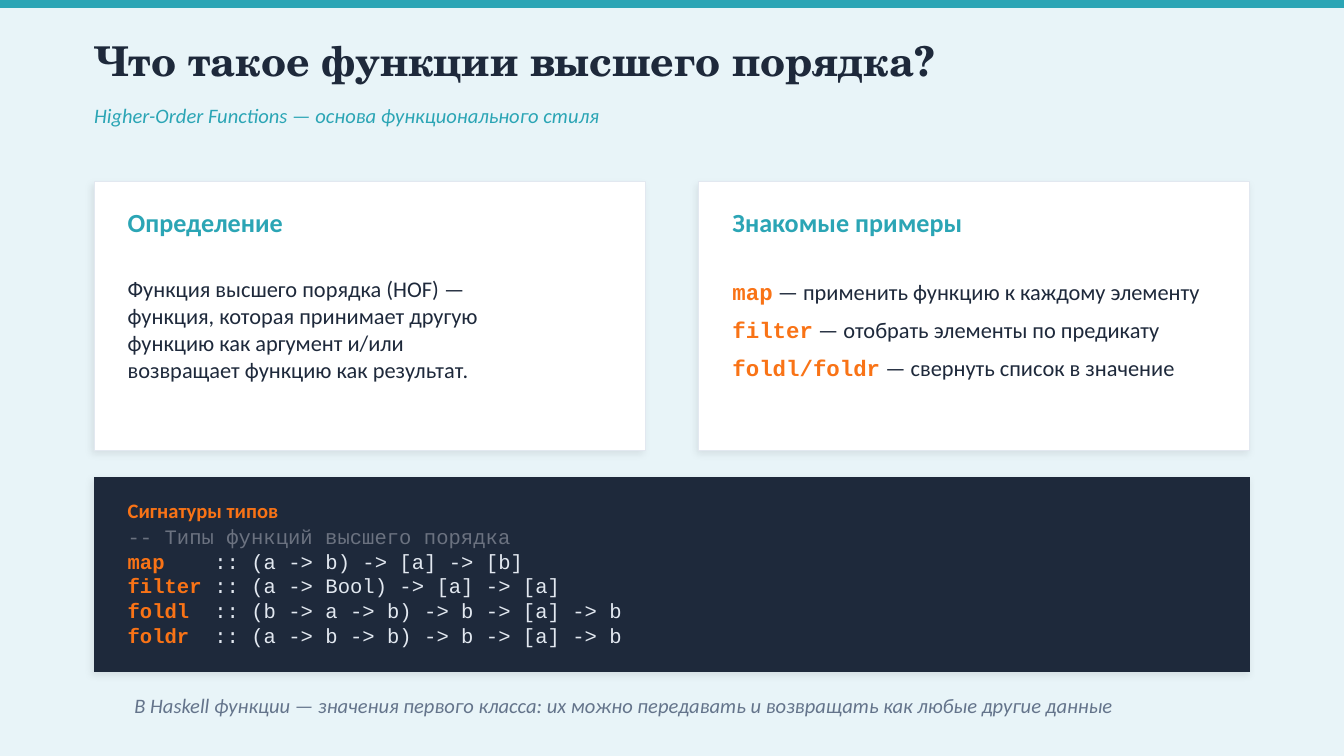
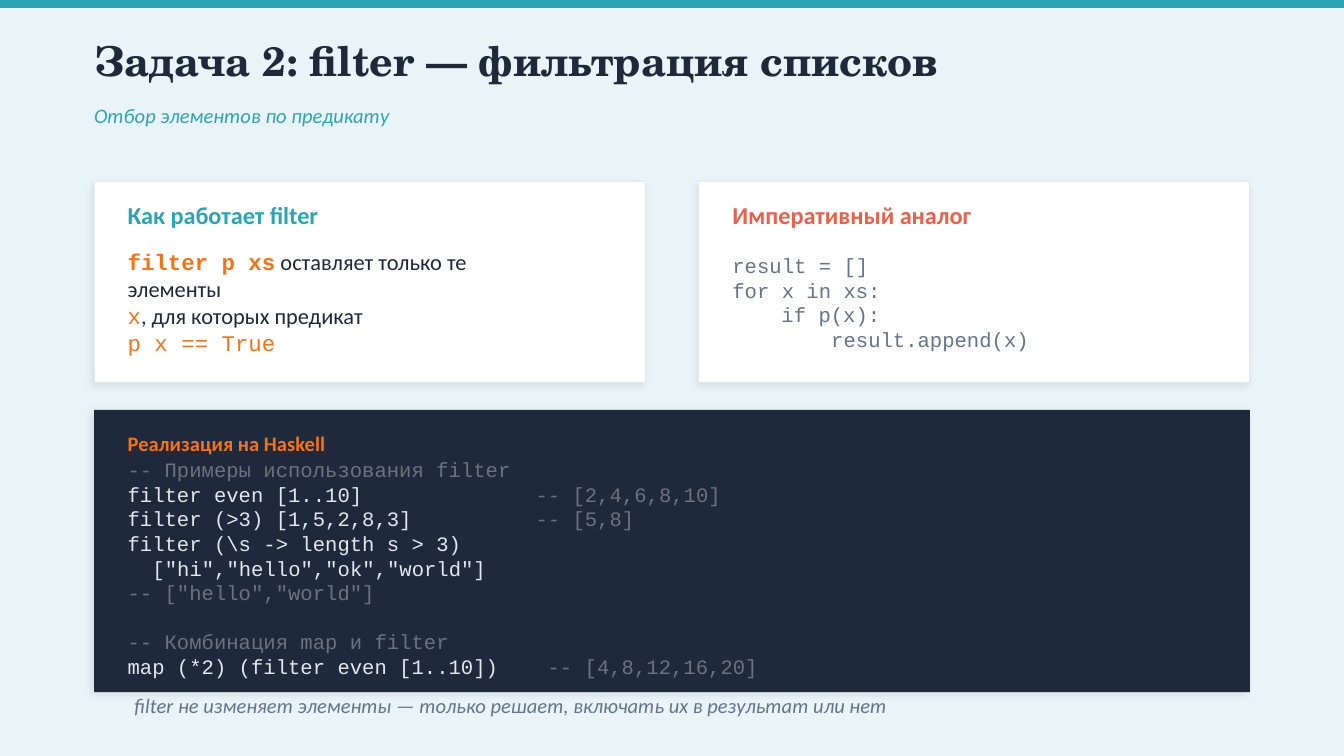
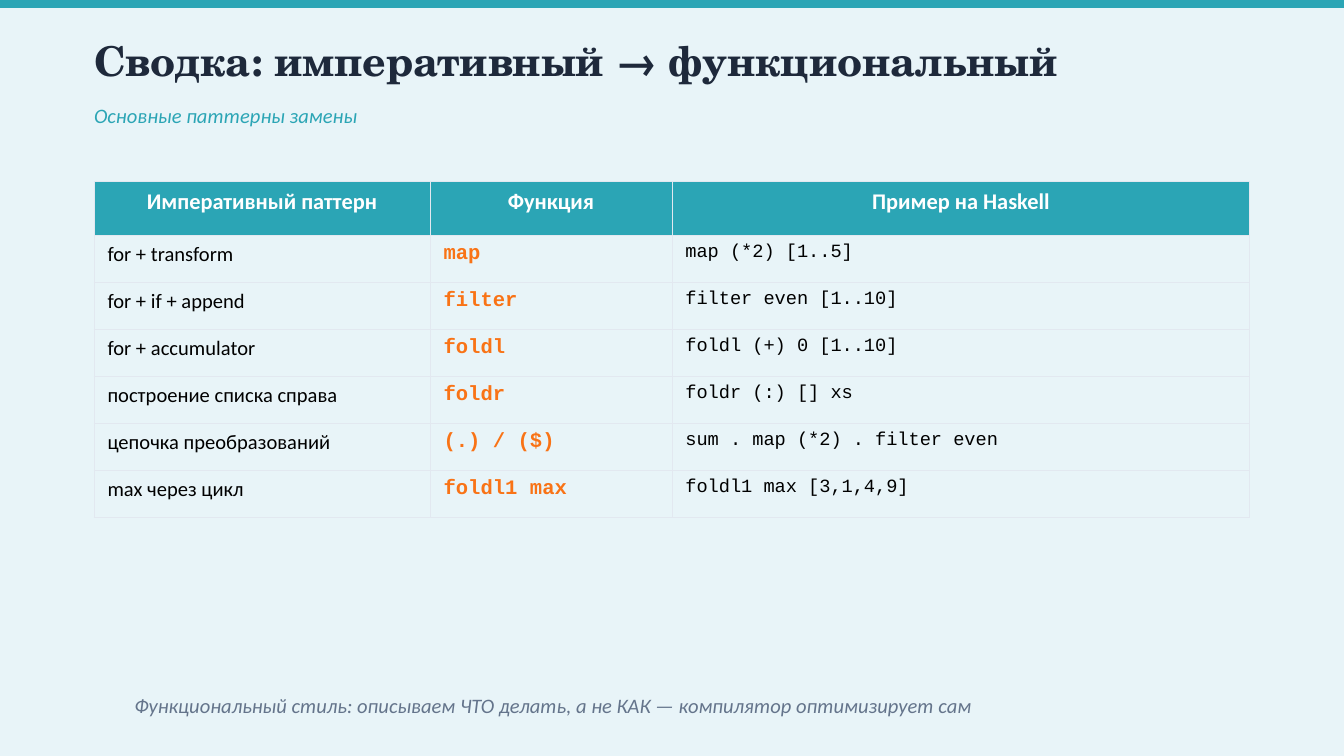
from dataclasses import dataclass, replace

from lxml.etree import SubElement
from pptx import Presentation
from pptx.dml.color import RGBColor
from pptx.enum.shapes import MSO_SHAPE
from pptx.enum.text import MSO_ANCHOR, MSO_AUTO_SIZE, PP_ALIGN
from pptx.oxml.ns import qn
from pptx.util import Emu, Pt

EMU_PER_PX = 4572
SLIDE_WIDTH, SLIDE_HEIGHT = 2000, 1125
MARGIN, CONTENT_WIDTH, CONTENT_TOP = 140, 1720, 270
CARD_WIDTH, CARD_GAP, PADDING = 820, 80, 50
HEADING_HEIGHT, HEADING_STEP = 60, 70

TEAL, NAVY, ORANGE, CORAL = "2BA5B5", "1E293B", "F97316", "E8624A"
SLATE, GRAY, PALE = "64748B", "6B7280", "E2E8F0"
WHITE, BLACK, BACKGROUND = "FFFFFF", "000000", "E8F4F8"
SANS, MONO, SERIF = "Calibri", "Courier New", "TeX Gyre Schola"


@dataclass(frozen=True)
class Style:
    size: int
    color: str
    font: str = SANS
    bold: bool = False
    italic: bool = False


@dataclass(frozen=True)
class Line:
    runs: list
    indent: int = 0
    tab: int = 0
    before: float = 0
    after: float = 0


TITLE = Style(22, NAVY, SERIF, bold=True)
SUBTITLE = Style(11, TEAL, italic=True)
NOTE = Style(11, SLATE, italic=True)
BODY = Style(12, NAVY)
TERM = Style(12, ORANGE, MONO)
STRONG_TERM = replace(TERM, bold=True)
HEADING = Style(14, TEAL, bold=True)
CODE_HEADING = Style(11, ORANGE, bold=True)
CODE = Style(11, PALE, MONO)
COMMENT = Style(11, GRAY, MONO)
KEYWORD = Style(11, ORANGE, MONO, bold=True)
IMPERATIVE_CODE = Style(11, SLATE, MONO)
TABLE_HEADER = Style(12, WHITE, bold=True)
TABLE_COLUMNS = [Style(11, BLACK), KEYWORD, Style(10, BLACK, MONO)]


def px(length):
    return Emu(length * EMU_PER_PX)


def rgb(color):
    return RGBColor.from_string(color)


def plain(style, *texts):
    return [Line([(text, style)]) for text in texts]


class Deck:
    def __init__(self):
        self.presentation = Presentation()
        self.presentation.slide_width = px(SLIDE_WIDTH)
        self.presentation.slide_height = px(SLIDE_HEIGHT)
        self.slide = None

    def start_slide(self, title, subtitle, note):
        layout = self.presentation.slide_layouts[5]
        self.slide = self.presentation.slides.add_slide(layout)
        fill = self.slide.background.fill
        fill.solid()
        fill.fore_color.rgb = rgb(BACKGROUND)
        self.rectangle(0, 0, SLIDE_WIDTH, 12, TEAL)
        placeholder = self.slide.shapes.title
        placeholder.left, placeholder.top = px(MARGIN), px(40)
        placeholder.width, placeholder.height = px(CONTENT_WIDTH), px(100)
        self.fill_frame(placeholder.text_frame, plain(TITLE, title))
        self.text(MARGIN, 144, CONTENT_WIDTH, 56, plain(SUBTITLE, subtitle))
        self.text(200, 1020, 1660, 60, plain(NOTE, note))

    def rectangle(self, left, top, width, height, color, border=None, shadow=False):
        shape = self.slide.shapes.add_shape(
            MSO_SHAPE.RECTANGLE, px(left), px(top), px(width), px(height))
        shape.fill.solid()
        shape.fill.fore_color.rgb = rgb(color)
        if border:
            shape.line.color.rgb = rgb(border)
            shape.line.width = Pt(0.5)
        else:
            shape.line.fill.background()
        shape.shadow.inherit = False
        if shadow:
            effects = shape._element.spPr.find(qn("a:effectLst"))
            outer = SubElement(effects, qn("a:outerShdw"), blurRad=str(Pt(4)),
                               dist=str(Pt(2)), dir=str(135 * 60000),
                               algn="bl", rotWithShape="0")
            shade = SubElement(outer, qn("a:srgbClr"), val=BLACK)
            SubElement(shade, qn("a:alpha"), val="8000")

    def text(self, left, top, width, height, lines, anchor=MSO_ANCHOR.MIDDLE):
        box = self.slide.shapes.add_textbox(px(left), px(top), px(width), px(height))
        self.fill_frame(box.text_frame, lines, anchor)

    def fill_frame(self, frame, lines, anchor=MSO_ANCHOR.MIDDLE):
        frame.word_wrap = True
        frame.auto_size = MSO_AUTO_SIZE.NONE
        frame.vertical_anchor = anchor
        frame.margin_left = frame.margin_right = 0
        frame.margin_top = frame.margin_bottom = 0
        for index, line in enumerate(lines):
            paragraph = frame.add_paragraph() if index else frame.paragraphs[0]
            self.fill_paragraph(paragraph, line)

    def fill_paragraph(self, paragraph, line, alignment=PP_ALIGN.LEFT):
        paragraph.alignment = alignment
        paragraph.space_before = Pt(line.before)
        paragraph.space_after = Pt(line.after)
        properties = paragraph._p.get_or_add_pPr()
        if line.indent:
            properties.set("marL", str(px(line.indent)))
        if line.tab:
            tabs = SubElement(properties, qn("a:tabLst"))
            SubElement(tabs, qn("a:tab"), pos=str(px(line.tab)), algn="l")
        for text, style in line.runs:
            run = paragraph.add_run()
            run.text = text
            run.font.name = style.font
            run.font.size = Pt(style.size)
            run.font.bold = style.bold
            run.font.italic = style.italic
            run.font.color.rgb = rgb(style.color)

    def card(self, column, height, heading, lines, inset, body_height, style=HEADING):
        left = MARGIN + column * (CARD_WIDTH + CARD_GAP)
        top, width = CONTENT_TOP + inset, CARD_WIDTH - 2 * PADDING
        self.rectangle(left, CONTENT_TOP, CARD_WIDTH, height, WHITE, PALE, shadow=True)
        self.text(left + PADDING, top, width, HEADING_HEIGHT, plain(style, heading))
        self.text(left + PADDING, top + HEADING_STEP, width, body_height, lines)

    def code_panel(self, top, height, heading, lines):
        left, width = MARGIN + PADDING, CONTENT_WIDTH - 2 * PADDING
        self.rectangle(MARGIN, top, CONTENT_WIDTH, height, NAVY, shadow=True)
        self.text(left, top + 20, width, HEADING_HEIGHT, plain(CODE_HEADING, heading))
        self.text(left, top + HEADING_STEP, width, height - 90, lines, MSO_ANCHOR.TOP)

    def table(self, header, rows, widths, header_height, row_height):
        frame = self.slide.shapes.add_table(
            len(rows) + 1, len(header), px(MARGIN), px(CONTENT_TOP),
            px(sum(widths)), px(header_height + row_height * len(rows)))
        table = frame.table
        table.first_row = table.horz_banding = False
        for column, width in zip(table.columns, widths):
            column.width = px(width)
        for row_index, texts in enumerate([header, *rows]):
            is_header = row_index == 0
            table.rows[row_index].height = px(header_height if is_header else row_height)
            for column_index, text in enumerate(texts):
                cell = table.cell(row_index, column_index)
                self.cell_borders(cell)
                if is_header:
                    cell.fill.solid()
                    cell.fill.fore_color.rgb = rgb(TEAL)
                else:
                    cell.fill.background()
                style = TABLE_HEADER if is_header else TABLE_COLUMNS[column_index]
                alignment = PP_ALIGN.CENTER if is_header else PP_ALIGN.LEFT
                self.fill_paragraph(cell.text_frame.paragraphs[0],
                                    Line([(text, style)]), alignment)

    def cell_borders(self, cell):
        properties = cell._tc.get_or_add_tcPr()
        for side in ("lnL", "lnR", "lnT", "lnB"):
            border = SubElement(properties, qn(f"a:{side}"), w=str(Pt(0.5)))
            fill = SubElement(border, qn("a:solidFill"))
            SubElement(fill, qn("a:srgbClr"), val=PALE)


def definition_slide(deck):
    deck.start_slide(
        "Что такое функции высшего порядка?",
        "Higher-Order Functions — основа функционального стиля",
        "В Haskell функции — значения первого класса: "
        "их можно передавать и возвращать как любые другие данные")
    definition = plain(
        BODY, "Функция высшего порядка (HOF) —", "функция, которая принимает другую",
        "функцию как аргумент и/или", "возвращает функцию как результат.")
    meanings = [("map", "применить функцию к каждому элементу"),
                ("filter", "отобрать элементы по предикату"),
                ("foldl/foldr", "свернуть список в значение")]
    examples = [Line([(name, STRONG_TERM), (f" — {meaning}", BODY)], after=6)
                for name, meaning in meanings]
    deck.card(0, 400, "Определение", definition, 30, 240)
    deck.card(1, 400, "Знакомые примеры", examples, 30, 240)
    signatures = [("map", "(a -> b) -> [a] -> [b]"),
                  ("filter", "(a -> Bool) -> [a] -> [a]"),
                  ("foldl", "(b -> a -> b) -> b -> [a] -> b"),
                  ("foldr", "(a -> b -> b) -> b -> [a] -> b")]
    deck.code_panel(710, 290, "Сигнатуры типов", [
        *plain(COMMENT, "-- Типы функций высшего порядка"),
        *[Line([(name, KEYWORD), (f"\t:: {signature}", CODE)], tab=129)
          for name, signature in signatures]])


def filter_slide(deck):
    deck.start_slide(
        "Задача 2: filter — фильтрация списков",
        "Отбор элементов по предикату",
        "filter не изменяет элементы — только решает, включать их в результат или нет")
    explanation = [
        Line([("filter p xs", STRONG_TERM), (" оставляет только те", BODY)]),
        Line([("элементы", BODY)]),
        Line([("x", TERM), (", для которых предикат", BODY)]),
        Line([("p x == True", TERM)])]
    loop = [Line([(text, IMPERATIVE_CODE)], indent=indent) for text, indent in [
        ("result = []", 0), ("for x in xs:", 0),
        ("if p(x):", 73), ("result.append(x)", 147)]]
    heading = replace(HEADING, size=13)
    deck.card(0, 300, "Как работает filter", explanation, 20, 180, heading)
    deck.card(1, 300, "Императивный аналог", loop, 20, 180, replace(heading, color=CORAL))
    deck.code_panel(610, 420, "Реализация на Haskell", [
        *plain(COMMENT, "-- Примеры использования filter"),
        Line([("filter even [1..10]", CODE), ("\t-- [2,4,6,8,10]", COMMENT)], tab=607),
        Line([("filter (>3) [1,5,2,8,3]", CODE), ("\t-- [5,8]", COMMENT)], tab=607),
        Line([(r"filter (\s -> length s > 3)", CODE)]),
        Line([('["hi","hello","ok","world"]', CODE)], indent=37),
        Line([('-- ["hello","world"]', COMMENT)]),
        Line([("-- Комбинация map и filter", COMMENT)], before=13),
        Line([("map (*2) (filter even [1..10])", CODE),
              ("\t-- [4,8,12,16,20]", COMMENT)], tab=625)])


def summary_slide(deck):
    deck.start_slide(
        "Сводка: императивный → функциональный",
        "Основные паттерны замены",
        "Функциональный стиль: описываем ЧТО делать, а не КАК — "
        "компилятор оптимизирует сам")
    deck.table(
        ["Императивный паттерн", "Функция", "Пример на Haskell"],
        [["for + transform", "map", "map (*2) [1..5]"],
         ["for + if + append", "filter", "filter even [1..10]"],
         ["for + accumulator", "foldl", "foldl (+) 0 [1..10]"],
         ["построение списка справа", "foldr", "foldr (:) [] xs"],
         ["цепочка преобразований", "(.) / ($)", "sum . map (*2) . filter even"],
         ["max через цикл", "foldl1 max", "foldl1 max [3,1,4,9]"]],
        [500, 360, 860], 80, 70)


def main():
    deck = Deck()
    definition_slide(deck)
    filter_slide(deck)
    summary_slide(deck)
    deck.presentation.save("out.pptx")


if __name__ == "__main__":
    main()
